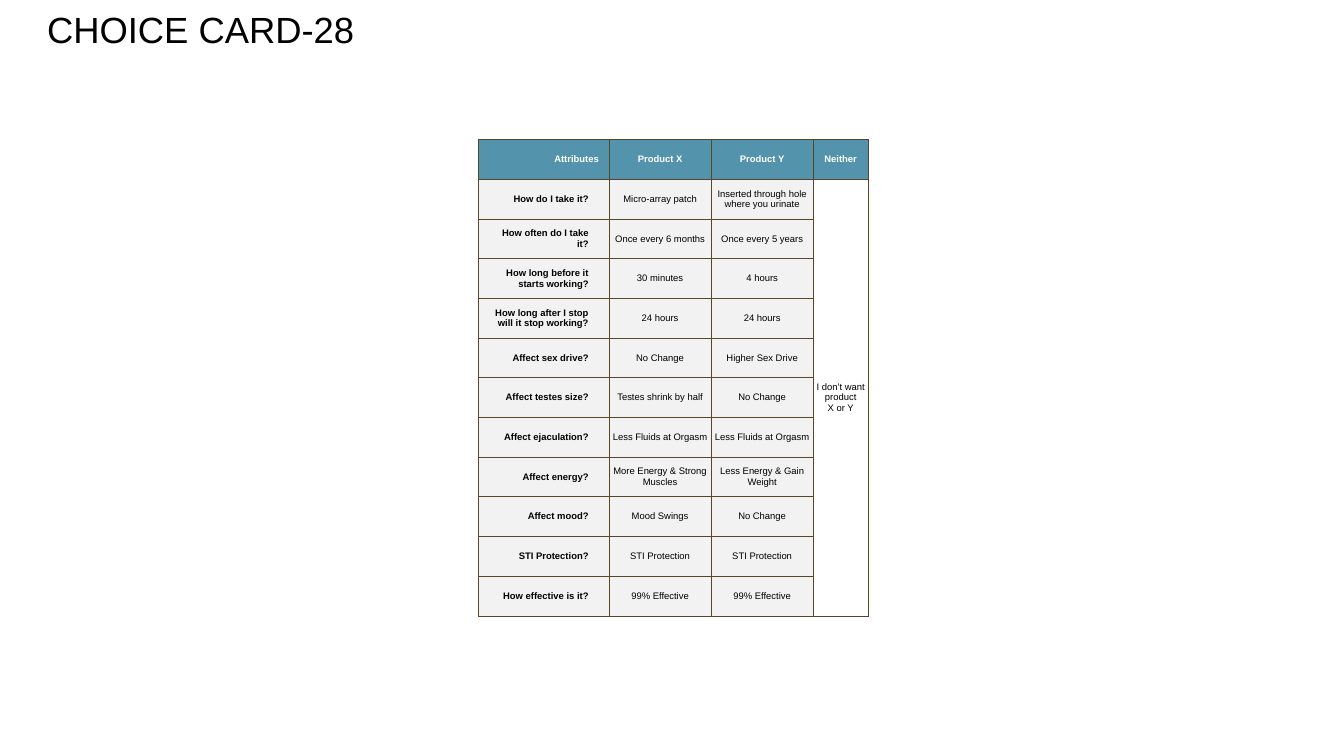
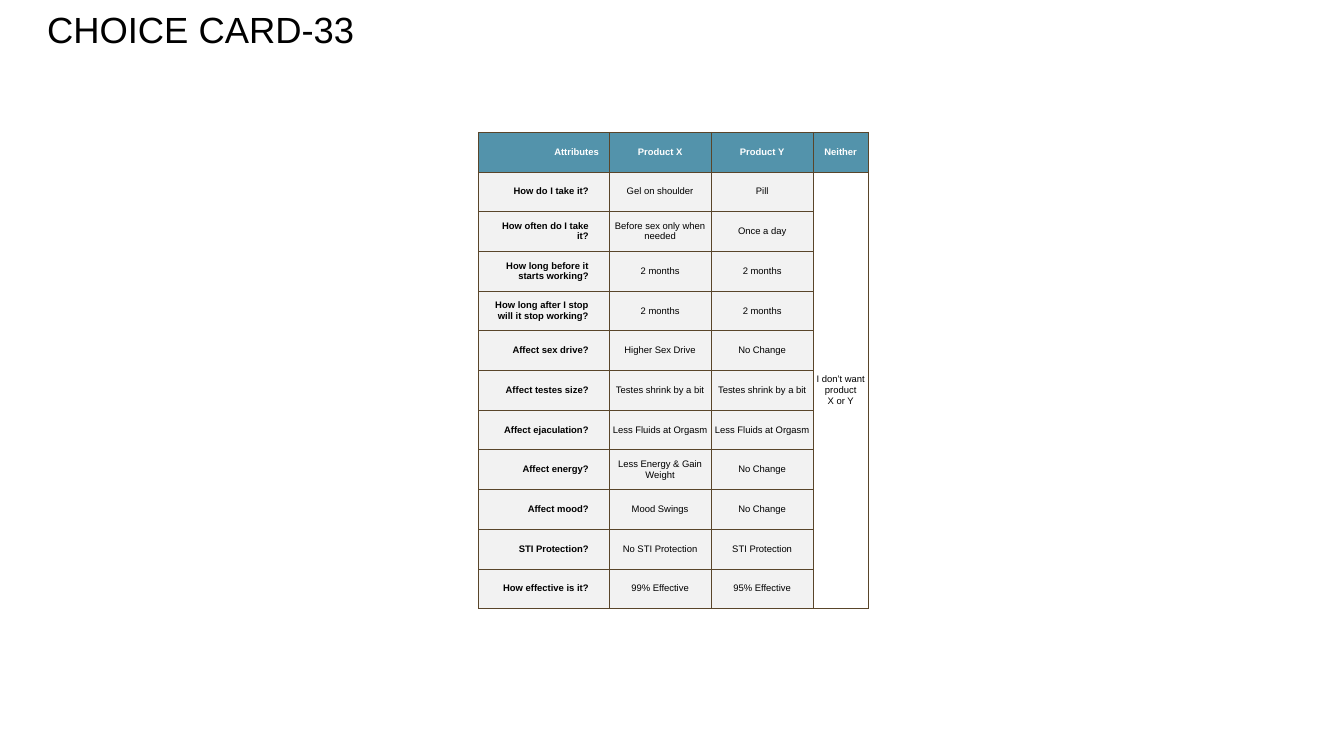
from dataclasses import dataclass

from lxml.etree import SubElement
from pptx import Presentation
from pptx.dml.color import RGBColor
from pptx.enum.text import MSO_ANCHOR as Anchor, MSO_AUTO_SIZE as AutoSize, PP_ALIGN as Align
from pptx.oxml.ns import qn
from pptx.util import Emu, Pt

# Shared look; lengths are in px, 100 px to the inch
SCALE = 9144
PAGE_SIZE = (2370, 1333)
TITLE_BOX = (73, 42, 1805, 74)
TABLE_LEFT = 844
COLUMN_WIDTHS = (230, 180, 180, 97)
ROW_HEIGHT = 70
FONT = "Arial"
BLACK = RGBColor(0x00, 0x00, 0x00)
WHITE = RGBColor(0xFF, 0xFF, 0xFF)
TEAL = RGBColor(0x53, 0x93, 0xAB)
GREY = RGBColor(0xF2, 0xF2, 0xF2)
BROWN = RGBColor(0x59, 0x45, 0x2A)

# Shared wording
HEADINGS = ("Attributes", "Product X", "Product Y", "Neither")
QUESTIONS = (
    "How do I take it?",
    "How often do I take it?",
    "How long before it starts working?",
    "How long after I stop will it stop working?",
    "Affect sex drive?",
    "Affect testes size?",
    "Affect ejaculation?",
    "Affect energy?",
    "Affect mood?",
    "STI Protection?",
    "How effective is it?",
)
NEITHER = "I don’t want product\nX or Y"


@dataclass(frozen=True)
class CellStyle:
    fill: RGBColor
    color: RGBColor
    bold: bool
    align: Align
    margins: tuple[int, int, int, int]


HEADING = CellStyle(TEAL, WHITE, True, Align.CENTER, (18, 9, 18, 9))
FIRST_HEADING = CellStyle(TEAL, WHITE, True, Align.RIGHT, (18, 9, 18, 9))
QUESTION = CellStyle(GREY, BLACK, True, Align.RIGHT, (18, 9, 36, 9))
ANSWER = CellStyle(GREY, BLACK, False, Align.CENTER, (4, 2, 4, 2))
OPT_OUT = CellStyle(WHITE, BLACK, False, Align.CENTER, (4, 2, 4, 2))


@dataclass(frozen=True)
class ChoiceCard:
    number: int
    table_top: int
    answers: tuple[tuple[str, str], ...]


CARDS = (
    ChoiceCard(28, 246, (
        ("Micro-array patch", "Inserted through hole where you urinate"),
        ("Once every 6 months", "Once every 5 years"),
        ("30 minutes", "4 hours"),
        ("24 hours", "24 hours"),
        ("No Change", "Higher Sex Drive"),
        ("Testes shrink by half", "No Change"),
        ("Less Fluids at Orgasm", "Less Fluids at Orgasm"),
        ("More Energy & Strong Muscles", "Less Energy & Gain Weight"),
        ("Mood Swings", "No Change"),
        ("STI Protection", "STI Protection"),
        ("99% Effective", "99% Effective"),
    )),
    ChoiceCard(33, 233, (
        ("Gel on shoulder", "Pill"),
        ("Before sex only when needed", "Once a day"),
        ("2 months", "2 months"),
        ("2 months", "2 months"),
        ("Higher Sex Drive", "No Change"),
        ("Testes shrink by a bit", "Testes shrink by a bit"),
        ("Less Fluids at Orgasm", "Less Fluids at Orgasm"),
        ("Less Energy & Gain Weight", "No Change"),
        ("Mood Swings", "No Change"),
        ("No STI Protection", "STI Protection"),
        ("99% Effective", "95% Effective"),
    )),
)


def px(length: int) -> Emu:
    return Emu(length * SCALE)


def set_title(page, text: str) -> None:
    box = page.shapes.title
    box.left, box.top, box.width, box.height = map(px, TITLE_BOX)
    frame = box.text_frame
    frame.text = text
    frame.auto_size = AutoSize.NONE
    frame.vertical_anchor = Anchor.TOP
    para = frame.paragraphs[0]
    para.alignment = Align.LEFT
    para.line_spacing = Pt(30.7)
    para.font.name, para.font.size = FONT, Pt(46.2)
    para.font.color.rgb = BLACK


def add_borders(cell) -> None:
    properties = cell._tc.get_or_add_tcPr()
    for index, side in enumerate(("a:lnL", "a:lnR", "a:lnT", "a:lnB")):
        line = SubElement(properties, qn(side), w=str(Pt(1)))
        fill = SubElement(line, qn("a:solidFill"))
        SubElement(fill, qn("a:srgbClr"), val=str(BROWN))
        properties.insert(index, line)


def style_cell(cell, style: CellStyle, text: str) -> None:
    cell.text = text
    cell.vertical_anchor = Anchor.MIDDLE
    (cell.margin_left, cell.margin_top,
     cell.margin_right, cell.margin_bottom) = map(px, style.margins)
    cell.fill.solid()
    cell.fill.fore_color.rgb = style.fill
    add_borders(cell)
    for para in cell.text_frame.paragraphs:
        para.alignment = style.align
        para.font.name, para.font.size = FONT, Pt(12)
        para.font.bold = style.bold
        para.font.color.rgb = style.color


def add_choice_table(page, card: ChoiceCard) -> None:
    row_count = len(QUESTIONS) + 1
    table = page.shapes.add_table(
        row_count, len(HEADINGS), px(TABLE_LEFT), px(card.table_top),
        px(sum(COLUMN_WIDTHS)), px(ROW_HEIGHT * row_count)).table
    table.first_row = table.horz_banding = False
    for column, width in zip(table.columns, COLUMN_WIDTHS):
        column.width = px(width)

    # Heading row
    for index, heading in enumerate(HEADINGS):
        style_cell(table.cell(0, index), HEADING if index else FIRST_HEADING, heading)

    # One row per attribute
    for row, (question, answers) in enumerate(zip(QUESTIONS, card.answers), start=1):
        style_cell(table.cell(row, 0), QUESTION, question)
        for column, answer in enumerate(answers, start=1):
            style_cell(table.cell(row, column), ANSWER, answer)

    # Opt-out cell down the last column
    last = len(HEADINGS) - 1
    table.cell(1, last).merge(table.cell(row_count - 1, last))
    for row in range(1, row_count):
        style_cell(table.cell(row, last), OPT_OUT, NEITHER if row == 1 else "")


def main() -> None:
    deck = Presentation()
    deck.slide_width, deck.slide_height = map(px, PAGE_SIZE)
    title_only = deck.slide_layouts.get_by_name("Title Only")
    for card in CARDS:
        page = deck.slides.add_slide(title_only)
        set_title(page, f"CHOICE CARD-{card.number}")
        add_choice_table(page, card)
    deck.save("out.pptx")


if __name__ == "__main__":
    main()
